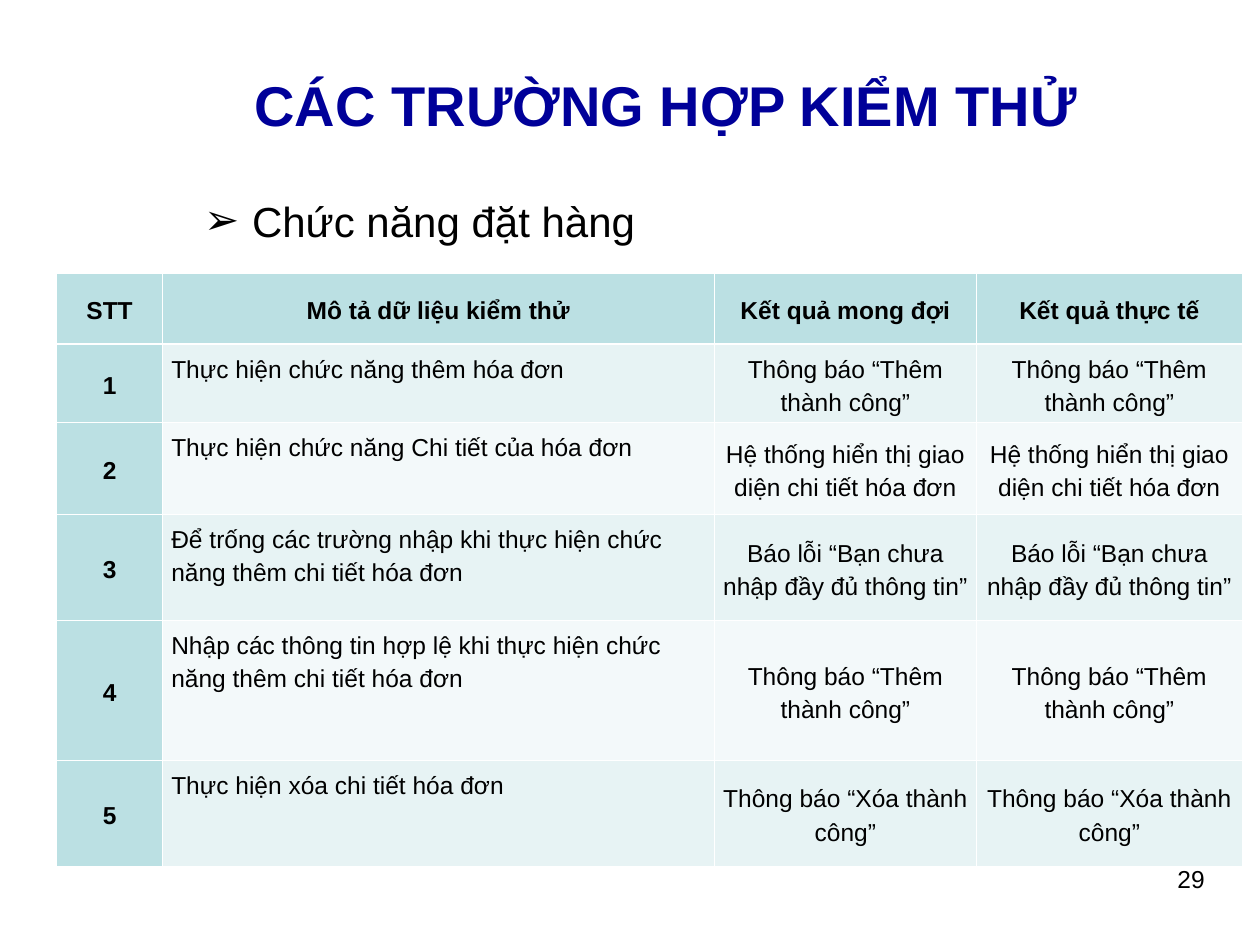
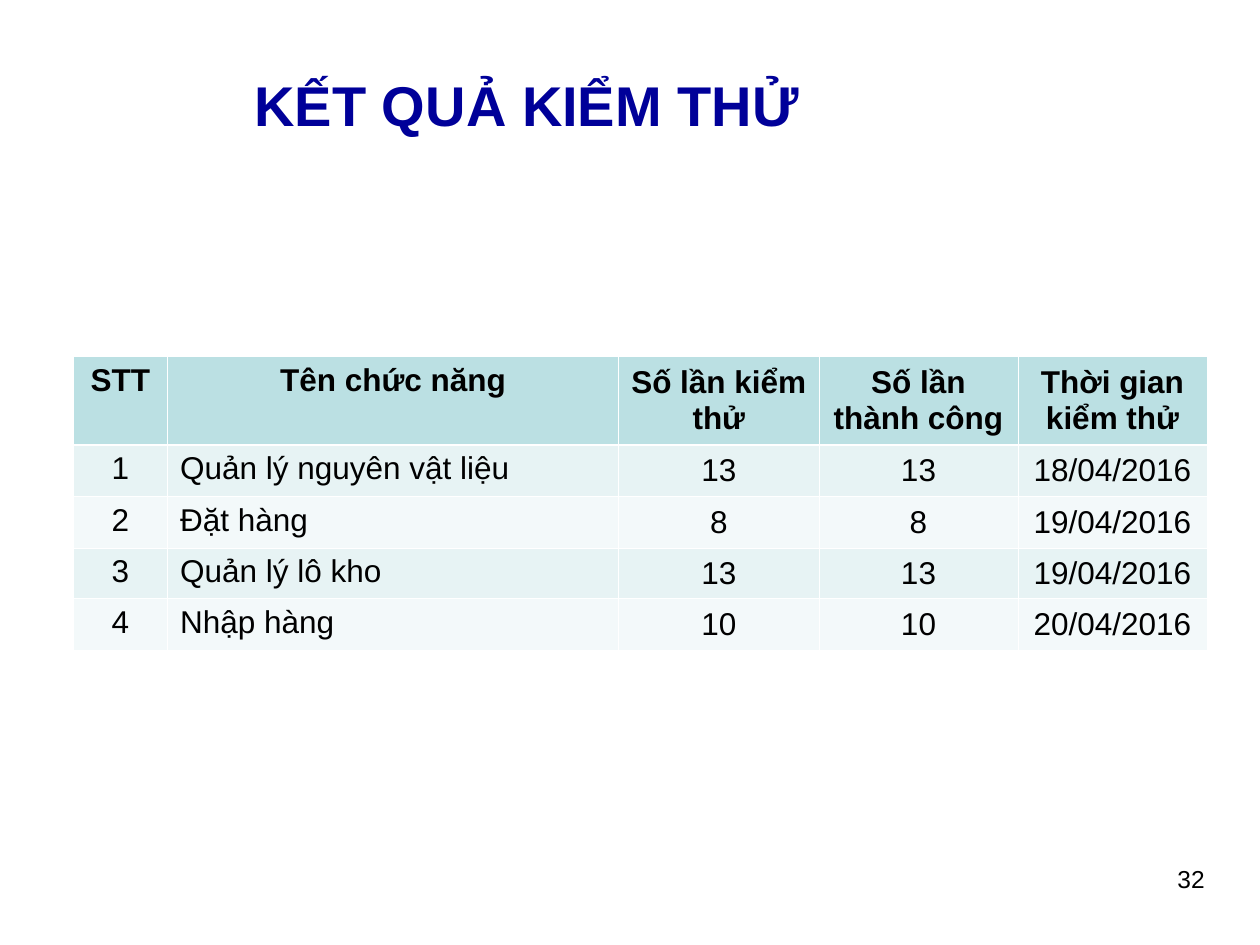
from lxml import etree
from pptx import Presentation
from pptx import util as u
from pptx.dml.color import RGBColor
from pptx.enum import text
from pptx.oxml import ns

FONT = "Arial"
NAVY, BLACK, WHITE = "000099", "000000", "FFFFFF"
TEAL, BANDS = "BBE0E3", ("E7F3F4", "F3F9FA")
THIN, THICK = 0.45, 1.47
TITLE_BOX = (1.92, 0.31, 7.75, 1.03)
NUMBER_BOX = (7.33, 6.81, 2.33, 0.61)
LIST_BOX = (1.52, 1.5, 3.75, 0.5)
TITLE_AND_BODY, TITLE_ONLY = 1, 5
LEFT, CENTER, RIGHT = (text.PP_ALIGN.LEFT, text.PP_ALIGN.CENTER,
                       text.PP_ALIGN.RIGHT)
TOP, MIDDLE = text.MSO_ANCHOR.TOP, text.MSO_ANCHOR.MIDDLE

# Each case: tested data, then the result that was both expected and obtained.
ADDED = "Thông báo “Thêm thành công”"
CASES = [
    ("Thực hiện chức năng thêm hóa đơn", ADDED),
    ("Thực hiện chức năng Chi tiết của hóa đơn",
     "Hệ thống hiển thị giao diện chi tiết hóa đơn"),
    ("Để trống các trường nhập khi thực hiện chức năng thêm chi tiết hóa đơn",
     "Báo lỗi “Bạn chưa nhập đầy đủ thông tin”"),
    ("Nhập các thông tin hợp lệ khi thực hiện chức năng thêm chi tiết hóa đơn",
     ADDED),
    ("Thực hiện xóa chi tiết hóa đơn", "Thông báo “Xóa thành công”"),
]
# Each result: function, number of runs (all successful), date.
RESULTS = [
    ("Quản lý nguyên vật liệu", 13, "18/04/2016"),
    ("Đặt hàng", 8, "19/04/2016"),
    ("Quản lý lô kho", 13, "19/04/2016"),
    ("Nhập hàng", 10, "20/04/2016"),
]

SLIDES = [
    dict(title="CÁC TRƯỜNG HỢP KIỂM THỬ", number=29, item="Chức năng đặt hàng",
         table=dict(
             header=["STT", "Mô tả dữ liệu kiểm thử", "Kết quả mong đợi",
                     "Kết quả thực tế"],
             rows=[(i, data, result, result)
                   for i, (data, result) in enumerate(CASES, 1)],
             left=0.45, top=2.17, widths=[0.84, 4.38, 2.08, 2.11],
             heights=[0.56, 0.56, 0.73, 0.84, 1.11, 0.84],
             size=14, inset=0.07, line_spacing=1.2, space_before=6,
             key_column=True, top_columns=(1,), header_anchors=[MIDDLE] * 4)),
    dict(title="KẾT QUẢ KIỂM THỬ", number=32, item=None,
         table=dict(
             header=["STT", "Tên chức năng", "Số lần kiểm thử",
                     "Số lần thành công", "Thời gian kiểm thử"],
             rows=[(i, name, runs, runs, date)
                   for i, (name, runs, date) in enumerate(RESULTS, 1)],
             left=0.58, top=2.83, widths=[0.75, 3.58, 1.59, 1.58, 1.5],
             heights=[0.7, 0.41, 0.41, 0.4, 0.41],
             size=18, inset=0.1, line_spacing=1, space_before=0,
             key_column=False, top_columns=(0, 1),
             header_anchors=[TOP] * 2 + [MIDDLE] * 3)),
]


def rgb(color):
    return RGBColor.from_string(color)


def inches(box):
    return [u.Inches(v) for v in box]


def write(tf, content, size, color=BLACK, bold=False, align=LEFT):
    tf.text = str(content)
    p = tf.paragraphs[0]
    p.alignment = align
    p.space_before = u.Pt(0)
    font = p.runs[0].font
    font.name, font.size, font.bold = FONT, u.Pt(size), bold
    font.color.rgb = rgb(color)
    return p


def place(sp, box):
    sp.left, sp.top, sp.width, sp.height = inches(box)
    sp.text_frame.auto_size = text.MSO_AUTO_SIZE.NONE


def add_child(parent, tag, **attributes):
    return etree.SubElement(parent, ns.qn(tag), attributes)


def add_borders(cell, top, bottom):
    """Draw white cell edges; must run before the cell is filled."""
    tcPr = cell._tc.get_or_add_tcPr()
    for side, width in zip("LRTB", (THIN, THIN, top, bottom)):
        ln = add_child(tcPr, f"a:ln{side}", w=str(u.Pt(width)))
        add_child(add_child(ln, "a:solidFill"), "a:srgbClr", val=WHITE)


def add_title(s, title):
    sp = s.shapes.title
    place(sp, TITLE_BOX)
    sp.text_frame.vertical_anchor = MIDDLE
    write(sp.text_frame, title, 32, NAVY, bold=True)


def add_list_item(s, item):
    sp = s.placeholders[1]
    place(sp, LIST_BOX)
    sp.text_frame.vertical_anchor = TOP
    pPr = write(sp.text_frame, item, 24)._p.get_or_add_pPr()
    pPr.set("marL", str(u.Inches(0.38)))
    pPr.set("indent", str(-u.Inches(0.38)))
    add_child(add_child(pPr, "a:buClr"), "a:srgbClr", val=BLACK)
    add_child(pPr, "a:buChar", char="➢")


def add_number(s, number):
    tf = s.shapes.add_textbox(*inches(NUMBER_BOX)).text_frame
    tf.word_wrap = True
    write(tf, number, 14, align=RIGHT)


def add_table(s, t):
    rows = [t["header"], *t["rows"]]
    box = (t["left"], t["top"], sum(t["widths"]), sum(t["heights"]))
    table = s.shapes.add_table(len(rows), len(t["header"]), *inches(box)).table
    table.horz_banding = False
    for column, width in zip(table.columns, t["widths"]):
        column.width = u.Inches(width)
    for row, height in zip(table.rows, t["heights"]):
        row.height = u.Inches(height)

    for i, values in enumerate(rows):
        for j, value in enumerate(values):
            cell = table.cell(i, j)
            heading = i == 0 or (t["key_column"] and j == 0)
            add_borders(cell, THICK if i == 1 else THIN,
                        THICK if i == 0 else THIN)
            cell.fill.solid()
            cell.fill.fore_color.rgb = rgb(
                TEAL if heading else BANDS[(i - 1) % 2])
            cell.margin_left = cell.margin_right = u.Inches(t["inset"])
            cell.margin_top = cell.margin_bottom = u.Inches(0.05)
            if i == 0:
                cell.vertical_anchor = t["header_anchors"][j]
            else:
                cell.vertical_anchor = TOP if j in t["top_columns"] else MIDDLE
            p = write(cell.text_frame, value, t["size"], bold=heading,
                      align=LEFT if i and j == 1 else CENTER)
            p.line_spacing = t["line_spacing"]
            p.space_before = u.Pt(t["space_before"])


def main():
    prs = Presentation()
    prs.slide_width, prs.slide_height = u.Inches(10), u.Inches(7.5)
    for content in SLIDES:
        layout = TITLE_AND_BODY if content["item"] else TITLE_ONLY
        s = prs.slides.add_slide(prs.slide_layouts[layout])
        add_title(s, content["title"])
        add_table(s, content["table"])
        add_number(s, content["number"])
        if content["item"]:
            add_list_item(s, content["item"])
    prs.save("out.pptx")


if __name__ == "__main__":
    main()
